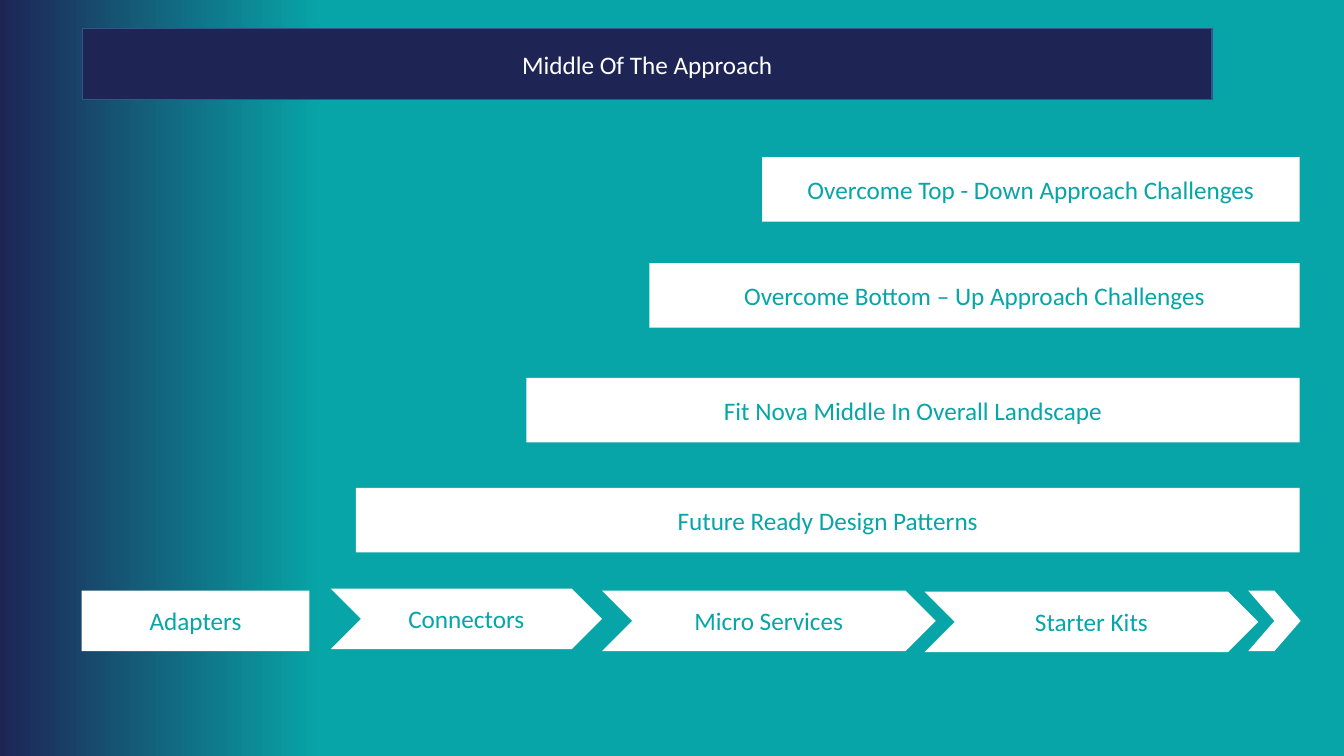
from pptx import Presentation
from pptx.dml.color import RGBColor
from pptx.enum.shapes import MSO_SHAPE
from pptx.enum.text import MSO_ANCHOR, PP_ALIGN
from pptx.util import Pt

PX = 9144
THEME = {
    "teal": RGBColor.from_string("07A5A7"),
    "navy": RGBColor.from_string("1E2555"),
    "edge": RGBColor.from_string("325491"),
    "white": RGBColor.from_string("FFFFFF"),
    "font": "Calibri",
    "size": Pt(18),
}

deck = Presentation()
deck.slide_width, deck.slide_height = 1333 * PX, 750 * PX
slide = deck.slides.add_slide(deck.slide_layouts[6])

back = slide.background.fill
back.gradient()
back.gradient_angle = 180
for stop, place, tone in zip(back.gradient_stops, (0.76, 1), ("teal", "navy")):
    stop.position = place
    stop.color.rgb = THEME[tone]


def add_box(kind, left, top, width, height, text, fill="white", ink="teal"):
    box = slide.shapes.add_shape(kind, left * PX, top * PX, width * PX, height * PX)
    box.shadow.inherit = False
    box.fill.solid()
    box.fill.fore_color.rgb = THEME[fill]
    box.line.fill.background()
    if text:
        frame = box.text_frame
        frame.word_wrap = True
        frame.vertical_anchor = MSO_ANCHOR.MIDDLE
        para = frame.paragraphs[0]
        para.text = text
        para.alignment = PP_ALIGN.CENTER
        para.font.name = THEME["font"]
        para.font.size = THEME["size"]
        para.font.color.rgb = THEME[ink]
    return box


title = add_box(MSO_SHAPE.RECTANGLE, 82, 28, 1120, 71,
                "Middle Of The Approach", "navy", "white")
title.line.color.rgb = THEME["edge"]
title.line.width = Pt(1)

add_box(MSO_SHAPE.RECTANGLE, 81, 586, 226, 60, "Adapters")
for left, top, width, text in (
    (328, 584, 269, "Connectors"),
    (597, 586, 331, "Micro Services"),
    (917, 587, 331, "Starter Kits"),
    (1238, 586, 52, ""),
):
    add_box(MSO_SHAPE.CHEVRON, left, top, width, 60, text)

RIGHT = 1289
for left, top, text in (
    (353, 484, "Future Ready Design Patterns"),
    (522, 375, "Fit Nova Middle In Overall Landscape"),
    (644, 261, "Overcome Bottom – Up Approach Challenges"),
    (756, 156, "Overcome Top - Down Approach Challenges"),
):
    add_box(MSO_SHAPE.RECTANGLE, left, top, RIGHT - left, 64, text)

deck.save("out.pptx")
